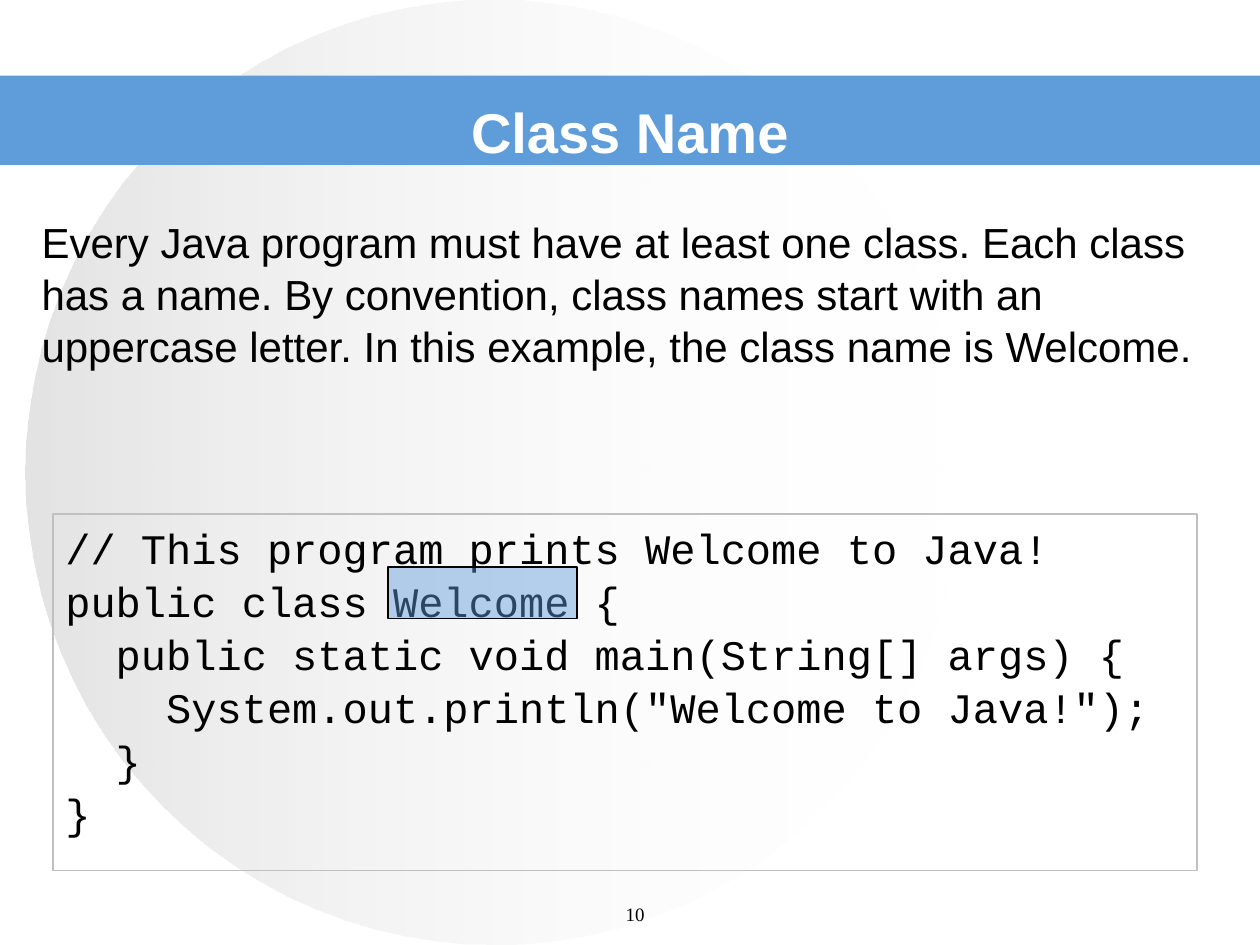
from dataclasses import dataclass

from lxml import etree
from pptx import Presentation
from pptx.dml.color import RGBColor
from pptx.enum import shapes, text
from pptx.oxml import ns
from pptx.util import Inches, Pt

BLUE, BLACK, WHITE, GRAY = "5E9CDA", "000000", "FFFFFF", "C0C0C0"


@dataclass
class Style:
    """Font and paragraph settings of one text block."""
    font: str
    size: float
    color: str = BLACK
    bold: bool = False
    center: bool = False
    before: float = 0
    spacing: float = 1.0
    pad: tuple = (0.1, 0.05, 0.1, 0.05)
    middle: bool = False
    hang: float = 0


def rgb(code: str) -> RGBColor:
    """Turn a hex string into a colour."""
    return RGBColor.from_string(code)


def fade(color, share: int) -> None:
    """Set the opacity of a colour element in percent."""
    etree.SubElement(color, ns.qn("a:alpha")).set("val", str(share * 1000))


def block(slide, box: tuple, kind=shapes.MSO_SHAPE.RECTANGLE,
          fill: str = "", line: str = "", width: float = 0.75):
    """Add a flat shape with an optional fill and line."""
    shape = slide.shapes.add_shape(kind, *map(Inches, box))
    shape.shadow.inherit = False
    if fill:
        shape.fill.solid()
        shape.fill.fore_color.rgb = rgb(fill)
    else:
        shape.fill.background()
    if line:
        shape.line.color.rgb = rgb(line)
        shape.line.width = Pt(width)
    else:
        shape.line.fill.background()
    return shape


def write(shape, lines: list, style: Style) -> None:
    """Fill a shape with one paragraph per line."""
    frame = shape.text_frame
    frame.word_wrap = True
    (frame.margin_left, frame.margin_top,
     frame.margin_right, frame.margin_bottom) = map(Inches, style.pad)
    anchor = text.MSO_ANCHOR
    frame.vertical_anchor = anchor.MIDDLE if style.middle else anchor.TOP
    frame.text = "\n".join(lines)
    for row, para in enumerate(frame.paragraphs):
        para.alignment = (text.PP_ALIGN.CENTER if style.center
                          else text.PP_ALIGN.LEFT)
        para.line_spacing = style.spacing
        para.space_before = Pt(0 if row else style.before)
        para.font.name = style.font
        para.font.size = Pt(style.size)
        para.font.bold = style.bold
        para.font.color.rgb = rgb(style.color)
        if style.hang:
            props = para._p.get_or_add_pPr()
            props.set("marL", str(Inches(style.hang)))
            props.set("indent", str(-Inches(style.hang)))


def label(slide, box: tuple, words: str, style: Style) -> None:
    """Add a text box with one paragraph."""
    write(slide.shapes.add_textbox(*map(Inches, box)), [words], style)


def disc(slide) -> None:
    """Add the large circle that fades out to the right."""
    shape = block(slide, (0.2, 0, 7.44, 7.5), shapes.MSO_SHAPE.OVAL)
    shape.fill.gradient()
    shape.fill.gradient_angle = 0
    for stop, code in zip(shape.fill.gradient_stops, (GRAY, WHITE)):
        stop.color.rgb = rgb(code)
    tints = shape._element.spPr.findall(".//" + ns.qn("a:srgbClr"))
    for tint, share in zip(tints, (44, 0)):
        fade(tint, share)


TITLE = Style("Arial", 32, WHITE, bold=True, center=True, middle=True,
              pad=(0.1, 0.06, 0.1, 0))
BODY = Style("Arial", 24, before=6, spacing=1.04, pad=(0.08, 0, 0.08, 0))
PAGE = Style("Times New Roman", 10.8, center=True, spacing=0.8)
CODE = Style("Courier New", 24, before=6, spacing=1.05, hang=0.38)

LINES = [
    "// This program prints Welcome to Java!",
    "public class Welcome {",
    "  public static void main(String[] args) {",
    '    System.out.println("Welcome to Java!");',
    "  }",
    "}",
]


def main() -> None:
    """Build and save the slide."""
    deck = Presentation()
    deck.slide_width, deck.slide_height = Inches(10), Inches(7.5)
    slide = deck.slides.add_slide(deck.slide_layouts[6])
    disc(slide)
    block(slide, (0, 0.6, 10, 0.71), fill=BLUE)
    label(slide, (0.75, 0.72, 8.5, 0.58), "Class Name", TITLE)
    label(slide, (0.25, 1.7, 9.58, 1.58),
          "Every Java program must have at least one class. Each class has "
          "a name. By convention, class names start with an uppercase "
          "letter. In this example, the class name is Welcome.", BODY)
    label(slide, (4.58, 7.15, 0.92, 0.29), "10", PAGE)
    write(block(slide, (0.42, 4.08, 9.08, 2.83), line=GRAY), LINES, CODE)
    mark = block(slide, (3.08, 4.5, 1.5, 0.41), fill=BLUE, line=BLACK, width=1)
    fade(mark._element.spPr.find(".//" + ns.qn("a:srgbClr")), 45)
    deck.save("out.pptx")


main()
